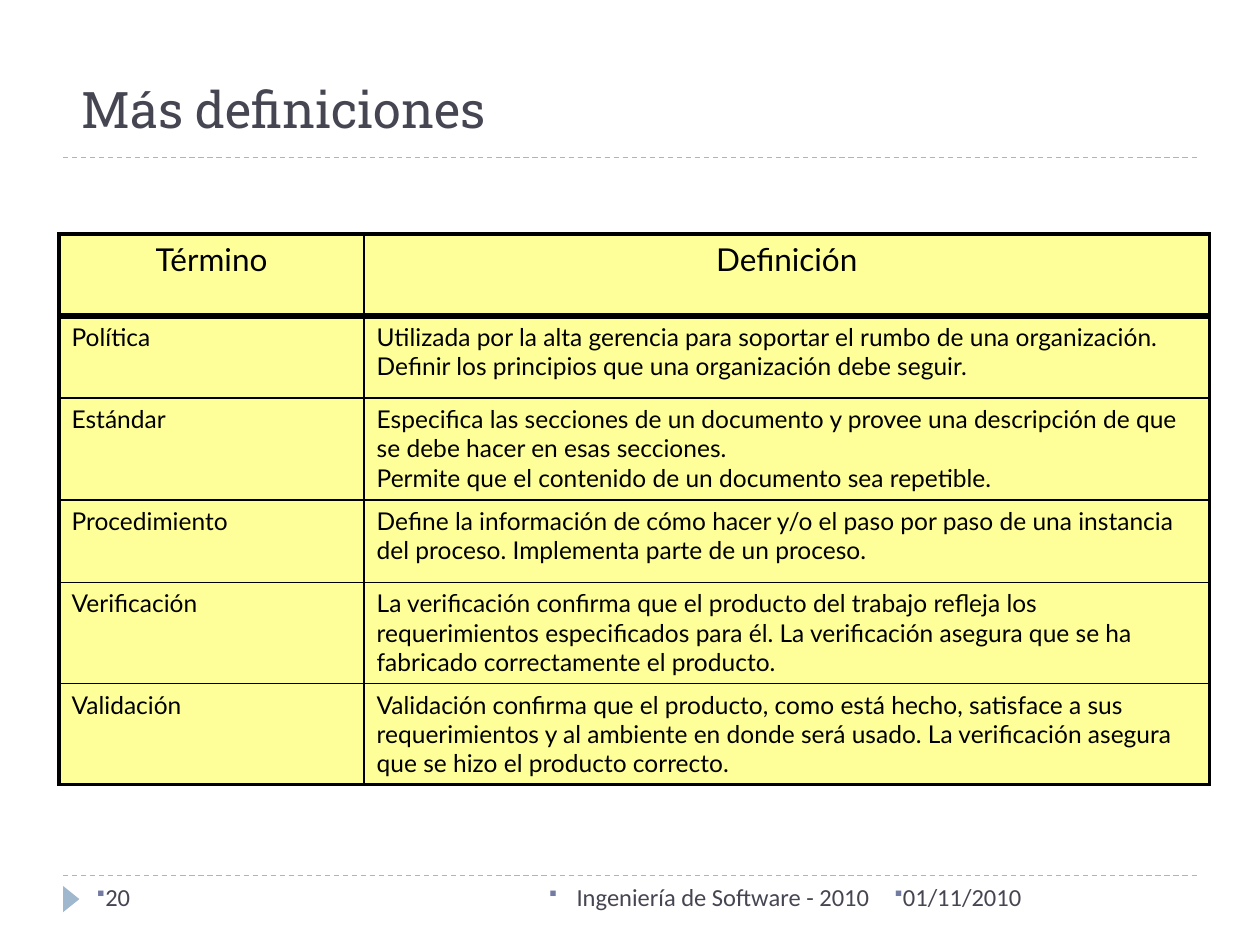
"""Build the slide "Más definiciones" with its table of terms."""
import pptx
import pptx.dml.color
import pptx.enum.dml
import pptx.enum.shapes
import pptx.enum.text
import pptx.oxml
import pptx.oxml.ns
import pptx.util
from lxml import etree

Cm = pptx.util.Cm
Pt = pptx.util.Pt
ALIGN = pptx.enum.text.PP_ALIGN
COLOURS = {"text": "464653", "accent": "9FB8CD", "bullet": "727CA3",
           "cell": "FFFF99", "black": "000000"}
COLUMN_WIDTHS = [6.15, 17.04]
ROW_HEIGHTS = [1.65, 1.65, 2.06, 1.66, 2.04, 2.03]
ROWS = [
    ("Término", "Definición"),
    ("Política", "Utilizada por la alta gerencia para soportar el rumbo de una organización.\n"
                 "Definir los principios que una organización debe seguir."),
    ("Estándar", "Especifica las secciones de un documento y provee una descripción de que "
                 "se debe hacer en esas secciones.\n"
                 "Permite que el contenido de un documento sea repetible."),
    ("Procedimiento", "Define la información de cómo hacer y/o el paso por paso de una instancia "
                      "del proceso. Implementa parte de un proceso."),
    ("Verificación", "La verificación confirma que el producto del trabajo refleja los "
                     "requerimientos especificados para él. La verificación asegura que se ha "
                     "fabricado correctamente el producto."),
    ("Validación", "Validación confirma que el producto, como está hecho, satisface a sus "
                   "requerimientos y al ambiente en donde será usado. La verificación asegura "
                   "que se hizo el producto correcto."),
]


def colour(name):
    return pptx.dml.color.RGBColor.from_string(COLOURS[name])


def set_font(para, face, size, tone):
    para.font.name = face
    para.font.size = Pt(size)
    para.font.color.rgb = colour(tone)


def add_rule(page, top):
    rule = page.shapes.add_connector(
        pptx.enum.shapes.MSO_CONNECTOR.STRAIGHT, Cm(1.27), Cm(top), Cm(24.13), Cm(top))
    rule.line.color.rgb = colour("accent")
    rule.line.width = Pt(0.75)
    rule.line.dash_style = pptx.enum.dml.MSO_LINE.DASH
    etree.SubElement(rule._element.spPr, pptx.oxml.ns.qn("a:effectLst"))


def add_marker(page):
    marker = page.shapes.add_shape(
        pptx.enum.shapes.MSO_SHAPE.ISOSCELES_TRIANGLE, Cm(1.17), Cm(17.96), Cm(0.53), Cm(0.33))
    marker.rotation = 90
    marker.shadow.inherit = False
    marker.fill.solid()
    marker.fill.fore_color.rgb = colour("accent")
    marker.line.fill.background()


def add_text(page, text, left, top, width, height, face="Calibri", size=14):
    box = page.shapes.add_textbox(Cm(left), Cm(top), Cm(width), Cm(height))
    box.text_frame.word_wrap = True
    para = box.text_frame.paragraphs[0]
    para.text = text
    set_font(para, face, size, "text")
    return box


def add_footer(page, text, left, width, align=ALIGN.LEFT, hanging=0):
    box = add_text(page, text, left, 17.65, width, 1.02)
    para = box.text_frame.paragraphs[0]
    para.alignment = align
    properties = para._p.get_or_add_pPr()
    properties.set("marL", str(Cm(hanging)))
    properties.set("indent", str(-Cm(hanging)))
    bullet = pptx.oxml.parse_xml(
        f'<a:bullet {pptx.oxml.ns.nsdecls("a")}>'
        f'<a:buClr><a:srgbClr val="{COLOURS["bullet"]}"/></a:buClr>'
        '<a:buSzPct val="76000"/><a:buFont typeface="Wingdings"/>'
        '<a:buChar char="§"/></a:bullet>')
    for position, part in enumerate(list(bullet)):
        properties.insert(position, part)


def set_borders(cell, widths):
    properties = cell._tc.get_or_add_tcPr()
    for position, (side, width) in enumerate(zip("LRTB", widths)):
        border = pptx.oxml.parse_xml(
            f'<a:ln{side} {pptx.oxml.ns.nsdecls("a")} w="{Pt(width)}"><a:solidFill>'
            f'<a:srgbClr val="{COLOURS["black"]}"/></a:solidFill></a:ln{side}>')
        properties.insert(position, border)


def fill_cell(cell, text, header):
    cell.fill.solid()
    cell.fill.fore_color.rgb = colour("cell")
    cell.text = text
    for para in cell.text_frame.paragraphs:
        para.alignment = ALIGN.CENTER if header else ALIGN.LEFT
        set_font(para, "Lato", 18 if header else 14, "black")


def add_definitions(page):
    table = page.shapes.add_table(
        len(ROWS), len(COLUMN_WIDTHS), Cm(1.19), Cm(4.72),
        Cm(sum(COLUMN_WIDTHS)), Cm(sum(ROW_HEIGHTS))).table
    for column, width in zip(table.columns, COLUMN_WIDTHS):
        column.width = Cm(width)
    last = len(ROWS) - 1
    for i, (texts, height) in enumerate(zip(ROWS, ROW_HEIGHTS)):
        table.rows[i].height = Cm(height)
        upper = {0: 2.25, 1: 4.5}.get(i, 1)
        lower = {0: 4.5, last: 2.25}.get(i, 1)
        for j, text in enumerate(texts):
            sides = (2.25, 1) if j == 0 else (1, 2.25)
            fill_cell(table.cell(i, j), text, header=i == 0)
            set_borders(table.cell(i, j), (*sides, upper, lower))


def main():
    deck = pptx.Presentation()
    deck.slide_width, deck.slide_height = Cm(25.4), Cm(19.05)
    page = deck.slides.add_slide(deck.slide_layouts[6])
    for top in (17.65, 3.18):
        add_rule(page, top)
    add_marker(page)
    add_footer(page, "01/11/2010", 17.78, 6.35)
    add_footer(page, "Ingeniería de Software - 2010", 8.05, 9.73, ALIGN.RIGHT, hanging=0.56)
    add_footer(page, "20", 1.7, 5.51)
    title = add_text(page, "Más definiciones", 1.4, 1.52, 23.42, 1.4, "Roboto Slab", 28.8)
    title.text_frame.vertical_anchor = pptx.enum.text.MSO_ANCHOR.BOTTOM
    add_definitions(page)
    deck.save("out.pptx")


if __name__ == "__main__":
    main()
